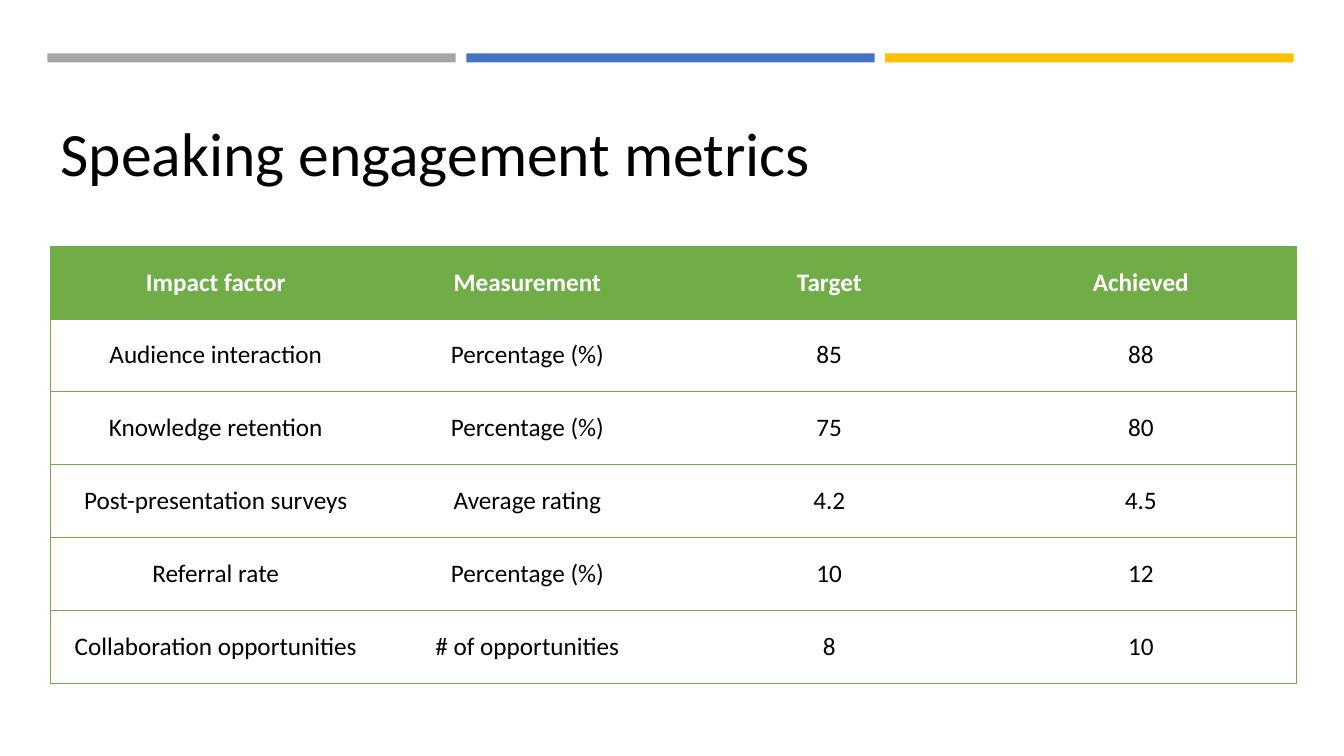
from dataclasses import dataclass

from lxml.etree import SubElement
from pptx import Presentation
from pptx.dml.color import RGBColor
from pptx.enum.shapes import MSO_SHAPE
from pptx.enum.text import MSO_ANCHOR, MSO_AUTO_SIZE, PP_ALIGN
from pptx.oxml.ns import qn
from pptx.util import Inches, Pt


@dataclass(frozen=True)
class Theme:
    font: str = "Calibri"
    title_size: int = 44
    table_size: int = 18
    border_width: float = 0.5
    text: str = "000000"
    paper: str = "FFFFFF"
    accent: str = "70AD47"
    stripes: tuple = ("A5A5A5", "4472C4", "FFC000")


@dataclass(frozen=True)
class Box:
    left: float
    top: float
    width: float
    height: float

    def emu(self):
        return [Inches(n) for n in (self.left, self.top, self.width, self.height)]


THEME = Theme()
SLIDE_WIDTH, SLIDE_HEIGHT = 13.33, 7.5
STRIPE_GAP = 0.105
COLUMN_WIDTHS = (3.28, 2.9, 3.09, 3.09)
METRICS = (
    ("Impact factor", "Measurement", "Target", "Achieved"),
    ("Audience interaction", "Percentage (%)", "85", "88"),
    ("Knowledge retention", "Percentage (%)", "75", "80"),
    ("Post-presentation surveys", "Average rating", "4.2", "4.5"),
    ("Referral rate", "Percentage (%)", "10", "12"),
    ("Collaboration opportunities", "# of opportunities", "8", "10"),
)


def style_paragraph(paragraph, size, color, bold=False):
    for run in paragraph.runs:
        run.font.name = THEME.font
        run.font.size = Pt(size)
        run.font.bold = bold
        run.font.color.rgb = RGBColor.from_string(color)


def add_stripes(slide, box):
    count = len(THEME.stripes)
    width = (box.width - STRIPE_GAP * (count - 1)) / count
    for index, color in enumerate(THEME.stripes):
        left = box.left + index * (width + STRIPE_GAP)
        stripe = slide.shapes.add_shape(
            MSO_SHAPE.RECTANGLE, *Box(left, box.top, width, box.height).emu()
        )
        stripe.shadow.inherit = False
        stripe.fill.solid()
        stripe.fill.fore_color.rgb = RGBColor.from_string(color)
        stripe.line.fill.background()


def place_title(slide, box, wording):
    title = slide.shapes.title
    title.left, title.top, title.width, title.height = box.emu()
    frame = title.text_frame
    frame.text = wording
    frame.word_wrap = True
    frame.auto_size = MSO_AUTO_SIZE.NONE
    frame.vertical_anchor = MSO_ANCHOR.BOTTOM
    heading = frame.paragraphs[0]
    heading.alignment = PP_ALIGN.LEFT
    heading.line_spacing = 0.9
    style_paragraph(heading, THEME.title_size, THEME.text)


def set_borders(cell, visible_sides):
    properties = cell._tc.get_or_add_tcPr()
    for side in "LRTB":
        border = SubElement(properties, qn(f"a:ln{side}"))
        if side in visible_sides:
            border.set("w", str(Pt(THEME.border_width)))
            paint = SubElement(border, qn("a:solidFill"))
            SubElement(paint, qn("a:srgbClr")).set("val", THEME.accent)
        else:
            border.set("w", "0")
            SubElement(border, qn("a:noFill"))


def fill_cell(cell, wording, is_header):
    cell.fill.solid()
    cell.fill.fore_color.rgb = RGBColor.from_string(
        THEME.accent if is_header else THEME.paper
    )
    cell.vertical_anchor = MSO_ANCHOR.MIDDLE
    cell.text_frame.text = wording
    entry = cell.text_frame.paragraphs[0]
    entry.alignment = PP_ALIGN.CENTER
    color = THEME.paper if is_header else THEME.text
    style_paragraph(entry, THEME.table_size, color, bold=is_header)


def add_metrics_table(slide, box):
    last_column = len(COLUMN_WIDTHS) - 1
    metrics = slide.shapes.add_table(
        len(METRICS), len(COLUMN_WIDTHS), *box.emu()
    ).table
    metrics.first_row = True
    metrics.horz_banding = False
    for column, width in zip(metrics.columns, COLUMN_WIDTHS):
        column.width = Inches(width)
    for row_index, entries in enumerate(METRICS):
        metrics.rows[row_index].height = Inches(box.height / len(METRICS))
        for column_index, wording in enumerate(entries):
            cell = metrics.cell(row_index, column_index)
            outer_sides = {0: "L", last_column: "R"}.get(column_index, "")
            set_borders(cell, "TB" + outer_sides)
            fill_cell(cell, wording, is_header=row_index == 0)


def build_metrics_slide(deck, box):
    slide = deck.slides.add_slide(deck.slide_layouts[5])
    for placeholder in list(slide.placeholders):
        if placeholder != slide.shapes.title:
            placeholder.element.getparent().remove(placeholder.element)
    margin = 0.5
    add_stripes(slide, Box(box.left + 0.47, box.top + 0.53, 12.36, 0.09))
    place_title(
        slide,
        Box(box.left + margin, box.top + 0.77, box.width - 2 * margin, 1.16),
        "Speaking engagement metrics",
    )
    add_metrics_table(
        slide, Box(box.left + margin, box.top + 2.44, sum(COLUMN_WIDTHS), 4.34)
    )


def main():
    deck = Presentation()
    deck.slide_width = Inches(SLIDE_WIDTH)
    deck.slide_height = Inches(SLIDE_HEIGHT)
    build_metrics_slide(deck, Box(0, 0, SLIDE_WIDTH, SLIDE_HEIGHT))
    deck.save("out.pptx")


if __name__ == "__main__":
    main()
